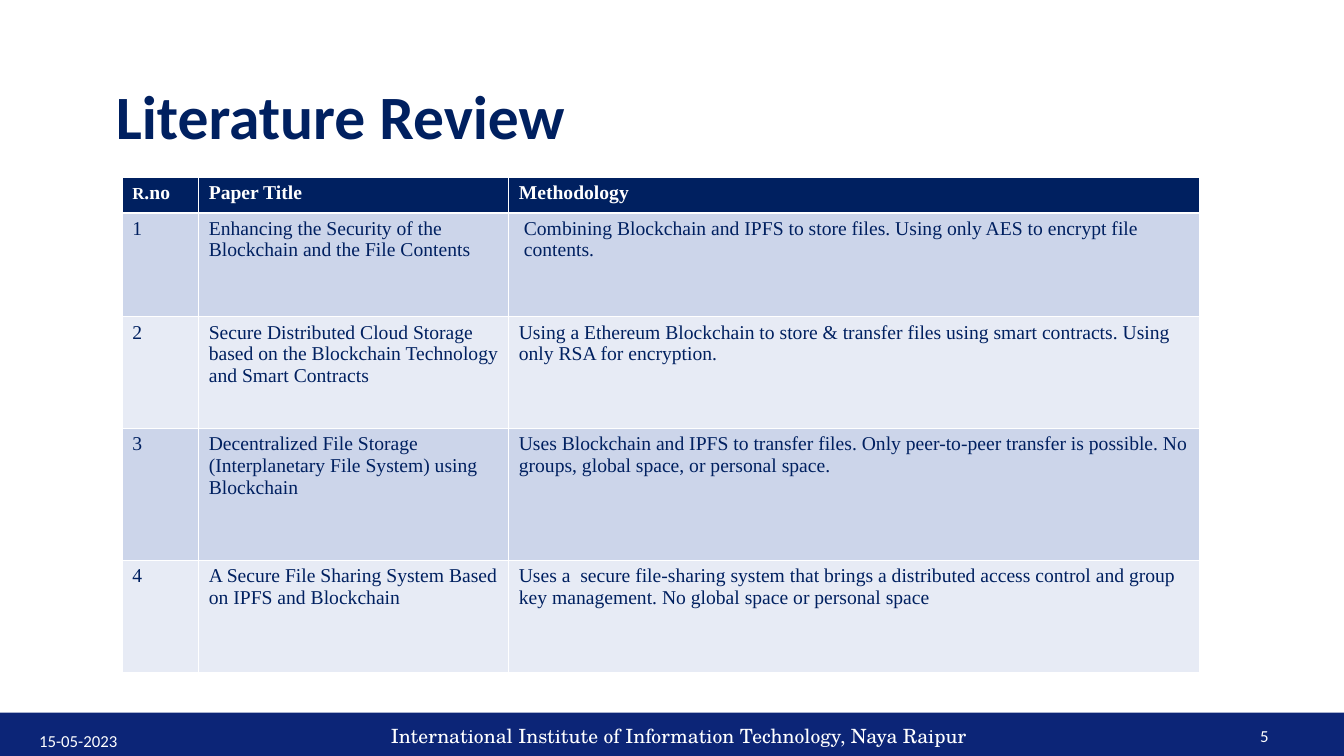
from dataclasses import dataclass
from lxml.etree import SubElement as Sub
from pptx import Presentation
from pptx.dml.color import RGBColor as Rgb
from pptx.enum.shapes import MSO_SHAPE as Geo
from pptx.enum.text import MSO_ANCHOR as Anchor, MSO_AUTO_SIZE as Auto, PP_ALIGN as Align
from pptx.oxml.ns import qn
from pptx.util import Inches, Pt


@dataclass(frozen=True)
class Theme:
    """Colours, faces and type sizes of the slide."""
    navy: str = "002060"
    bar: str = "0C2577"
    white: str = "FFFFFF"
    bands: tuple = ("CCD5EA", "E7EBF5")
    sans: str = "Calibri"
    serif: str = "Times New Roman"
    school: str = "TeX Gyre Schola"
    head: int = 44
    cell: int = 14
    small: int = 12
    thin: float = 0.45
    thick: float = 1.47


T = Theme()
WIDE, HIGH = Inches(13.34), Inches(7.5)
COLS = (0.76, 3.08, 6.86)
ROWS = (0.35, 1.03, 1.11, 1.31, 1.11)
HEADS = ("R.no", "Paper Title", "Methodology")
PAPERS = (
    ("Enhancing the Security of the Blockchain and the File Contents",
     "Combining Blockchain and IPFS to store files. Using only AES to encrypt file\ncontents."),
    ("Secure Distributed Cloud Storage based on the Blockchain Technology and Smart Contracts",
     "Using a Ethereum Blockchain to store & transfer files using smart contracts. "
     "Using only RSA for encryption."),
    ("Decentralized File Storage (Interplanetary File System) using Blockchain",
     "Uses Blockchain and IPFS to transfer files. Only peer-to-peer transfer is possible. "
     "No groups, global space, or personal space."),
    ("A Secure File Sharing System Based on IPFS and Blockchain",
     "Uses a  secure file-sharing system that brings a distributed access control and group\n"
     "key management. No global space or personal space"),
)


def area(x, y, w, h):
    """Turn percent shares of the slide into lengths."""
    return [round(full * part / 100) for full, part in zip((WIDE, HIGH) * 2, (x, y, w, h))]


def add_run(para, text, face, size, tint, bold=False):
    """Add one formatted run to a paragraph."""
    run = para.add_run()
    run.text = text
    font = run.font
    font.name, font.size, font.bold = face, Pt(size), bold
    font.color.rgb = Rgb.from_string(tint)


def add_bar(slide, box):
    """Add the footer band."""
    bar = slide.shapes.add_shape(Geo.RECTANGLE, *area(*box))
    bar.shadow.inherit = False
    bar.fill.solid()
    bar.fill.fore_color.rgb = Rgb.from_string(T.bar)
    bar.line.fill.background()


def add_label(slide, box, text, face, size, align):
    """Add a white line of text on the footer band."""
    frame = slide.shapes.add_textbox(*area(*box)).text_frame
    frame.word_wrap = True
    frame.vertical_anchor = Anchor.MIDDLE
    para = frame.paragraphs[0]
    para.alignment = align
    add_run(para, text, face, size, T.white)


def set_title(slide, box, text):
    """Place and format the title."""
    title = slide.shapes.title
    title.left, title.top, title.width, title.height = area(*box)
    frame = title.text_frame
    frame.auto_size = Auto.NONE
    frame.vertical_anchor = Anchor.MIDDLE
    para = frame.paragraphs[0]
    para.alignment, para.line_spacing = Align.LEFT, 0.9
    add_run(para, text, T.sans, T.head, T.navy, True)


def paint(cell, row):
    """Give a cell its white borders and its row colour."""
    props = cell._tc.get_or_add_tcPr()
    heavy = {0: "B", 1: "T"}.get(row)
    for side in "LRTB":
        size = T.thick if side == heavy else T.thin
        line = Sub(props, qn(f"a:ln{side}"), w=str(Pt(size)))
        Sub(Sub(line, qn("a:solidFill")), qn("a:srgbClr"), val=T.white)
    cell.fill.solid()
    tint = T.bands[(row - 1) % 2] if row else T.navy
    cell.fill.fore_color.rgb = Rgb.from_string(tint)


def fill_cell(cell, row, text):
    """Write a cell, one paragraph for each line."""
    paint(cell, row)
    frame = cell.text_frame
    tint = T.navy if row else T.white
    for i, line in enumerate(text.split("\n")):
        para = frame.add_paragraph() if i else frame.paragraphs[0]
        if line == HEADS[0]:
            add_run(para, line[0], T.serif, T.small, tint, True)
            line = line[1:]
        add_run(para, line, T.serif, T.cell, tint, not row)


def add_grid(slide, box, data):
    """Add the table of reviewed papers."""
    x, y, w, h = area(*box)
    grid = slide.shapes.add_table(len(ROWS), len(COLS), x, y, w, h).table
    for col, part in zip(grid.columns, COLS):
        col.width = round(w * part / sum(COLS))
    for row, part in zip(grid.rows, ROWS):
        row.height = round(h * part / sum(ROWS))
    for r, line in enumerate(data):
        for c, text in enumerate(line):
            fill_cell(grid.cell(r, c), r, text)
    grid.cell(1, 2).margin_left = Inches(0.15)


def main():
    """Build and save the slide."""
    deck = Presentation()
    deck.slide_width, deck.slide_height = WIDE, HIGH
    slide = deck.slides.add_slide(deck.slide_layouts[5])
    add_bar(slide, (0, 94.27, 100, 5.73))
    add_label(slide, (23.46, 94.67, 54.12, 5.33),
              "International Institute of Information Technology, Naya Raipur",
              T.school, T.cell, Align.CENTER)
    add_label(slide, (78.94, 94.67, 16.19, 5.33), "5", T.sans, T.small, Align.RIGHT)
    add_label(slide, (2.17, 96, 18.14, 4), "15-05-2023", T.sans, T.small, Align.LEFT)
    set_title(slide, (7.87, 6.13, 80.13, 19.33), "Literature Review")
    rows = [(str(i), *paper) for i, paper in enumerate(PAPERS, 1)]
    add_grid(slide, (9.1, 23.47, 80.13, 65.47), [HEADS, *rows])
    deck.save("out.pptx")


if __name__ == "__main__":
    main()
